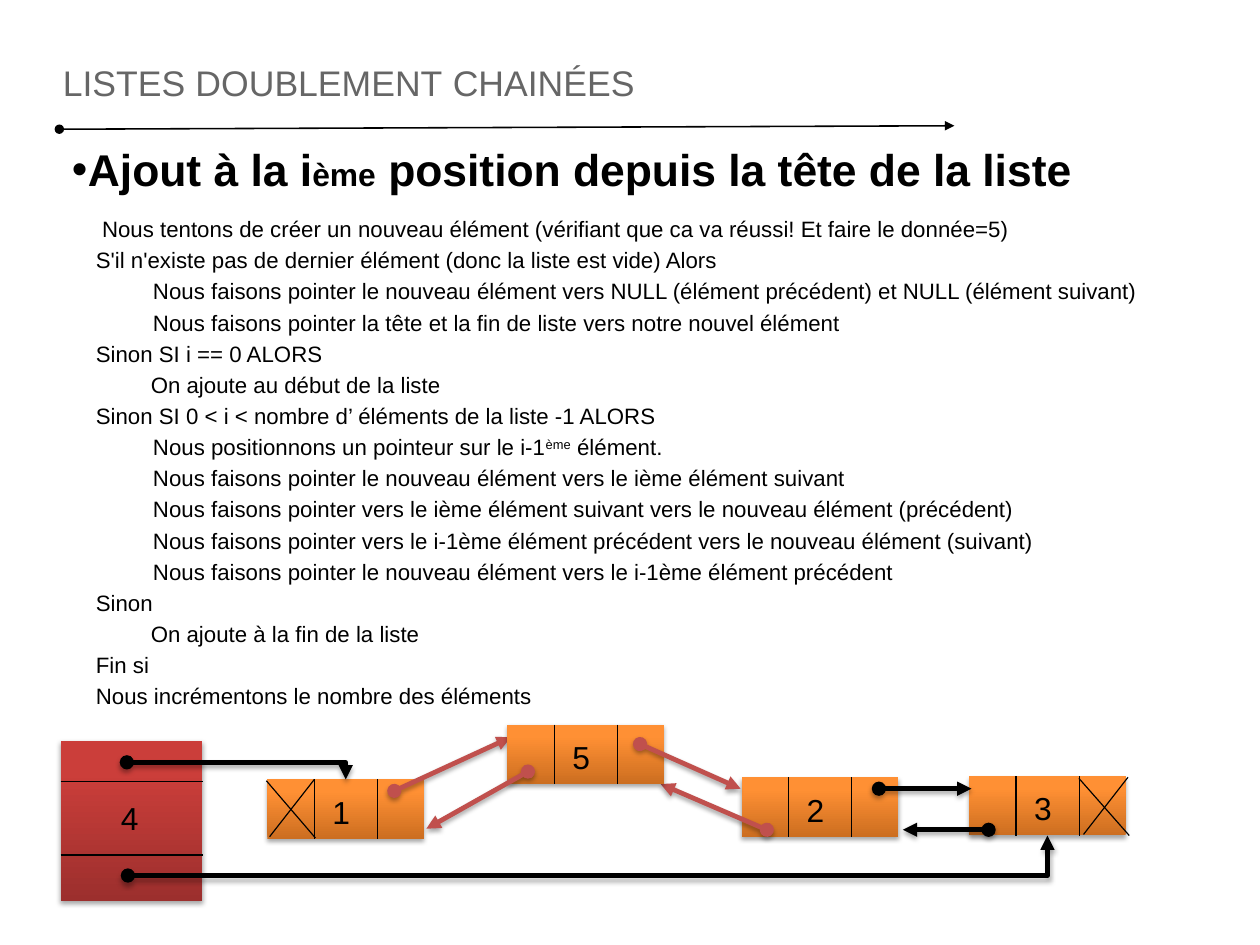
"""Slide on inserting at the i-th position of a doubly linked list."""
from pptx import Presentation
from pptx.dml.color import RGBColor
from pptx.enum.shapes import MSO_CONNECTOR, MSO_SHAPE
from pptx.enum.text import MSO_ANCHOR
from pptx.oxml import parse_xml
from pptx.oxml.ns import nsdecls
from pptx.util import Pt

STRAIGHT, ELBOW = MSO_CONNECTOR.STRAIGHT, MSO_CONNECTOR.ELBOW
RECTANGLE = MSO_SHAPE.RECTANGLE
TOP, MIDDLE = MSO_ANCHOR.TOP, MSO_ANCHOR.MIDDLE
COLORS = {
    "black": "000000", "grey": "666666", "red": "C0504D",
    "head dark": "9C2F2D", "head light": "CB3E3A",
    "node dark": "CC6E20", "node light": "FF9034",
}
SHADOW = (
    f'<a:effectLst {nsdecls("a")}><a:outerShdw blurRad="39370" dist="22860" '
    'dir="5400000" rotWithShape="0"><a:srgbClr val="000000"><a:alpha val="35000"/>'
    "</a:srgbClr></a:outerShdw></a:effectLst>"
)
NO_EFFECT = f'<a:effectLst {nsdecls("a")}/>'
NODE_WIDTH, NODE_HEIGHT = 98.6, 37.4
DIVIDERS = (29.5, 69.3)
NODES = {"3": (610.6, 488.9), "2": (467.3, 489.6), "1": (168.5, 491), "5": (319.7, 456.5)}

deck = Presentation()
deck.slide_width, deck.slide_height = Pt(793.75), Pt(595.25)
page = deck.slides.add_slide(deck.slide_layouts[6])


def draw_line(points, color="black", width=0.75, arrow=False, kind=STRAIGHT):
    """Draw a connector, with a round start and a pointed end for an arrow."""
    line = page.shapes.add_connector(kind, *[Pt(value) for value in points])
    line.line.color.rgb = RGBColor.from_string(COLORS[color])
    line.line.width = Pt(width)
    if arrow:
        outline = line.line._get_or_add_ln()
        for tag, end in (("headEnd", "oval"), ("tailEnd", "triangle")):
            outline.append(parse_xml(f'<a:{tag} {nsdecls("a")} type="{end}"/>'))
    line._element.spPr.append(parse_xml(SHADOW if width == 3 else NO_EFFECT))
    return line


def draw_block(left, top, width, height, palette):
    """Draw a shaded rectangle that is dark at the bottom."""
    block = page.shapes.add_shape(RECTANGLE, Pt(left), Pt(top), Pt(width), Pt(height))
    block.fill.gradient()
    block.fill.gradient_angle = 90
    for stop, position, tone in zip(block.fill.gradient_stops, (0, 0.8), ("dark", "light")):
        stop.position = position
        stop.color.rgb = RGBColor.from_string(COLORS[f"{palette} {tone}"])
    block.line.fill.background()
    block._element.spPr.append(parse_xml(SHADOW))
    return block


draw_line((37.4, 81.4, 601.2, 79.2), width=1, arrow=True)

draw_block(38.2, 466.6, 89.3, 100.8, "head")
for y in (492.5, 538.6):
    draw_line((38.2, y, 128.2, y))

ARROWS = {
    "3": [],
    "2": [],
    "1": [
        ((248.4, 498.2, 321.8, 464.4), "red"),
        ((483.1, 522.7, 416.2, 493.9), "red"),
        ((553.7, 496.8, 612, 496.8), "black"),
        ((622.8, 522.7, 568.8, 522.7), "black"),
    ],
    "5": [
        ((403.2, 468.7, 466.6, 496.8), "red"),
        ((332.6, 486, 268.6, 522), "red"),
    ],
}
blocks = {}
for digit, (left, top) in NODES.items():
    blocks[digit] = draw_block(left, top, NODE_WIDTH, NODE_HEIGHT, "node")
    for offset in DIVIDERS:
        draw_line((left + offset, top, left + offset, top + NODE_HEIGHT))
    for points, color in ARROWS[digit]:
        draw_line(points, color, 3, True)

for cross in (
    (167.8, 491.8, 198.7, 527.8), (198, 491, 169.9, 527),
    (679.7, 490.3, 711.4, 526.3), (710.6, 489.6, 682.6, 525.6),
):
    draw_line(cross)

for points, digit, side in (
    ((79.9, 480.2, 217.8, 491), "1", 0),
    ((80.6, 551.5, 659.9, 526.3), "3", 2),
):
    link = draw_line(points, "black", 3, True, ELBOW)
    link._element.spPr.prstGeom.set("prst", "bentConnector2")
    link.end_connect(blocks[digit], side)

STEPS = [
    (0, " Nous tentons de créer un nouveau élément (vérifiant que ca va réussi! Et faire le donnée=5)"),
    (0, "S'il n'existe pas de dernier élément (donc la liste est vide) Alors"),
    (36, "Nous faisons pointer le nouveau élément vers NULL (élément précédent) et NULL (élément suivant)"),
    (36, "Nous faisons pointer la tête et la fin de liste vers notre nouvel élément"),
    (0, "Sinon SI i == 0 ALORS"),
    (34.6, "On ajoute au début de la liste"),
    (0, "Sinon SI 0 < i < nombre d’ éléments de la liste -1 ALORS"),
    (36, "Nous positionnons un pointeur sur le i-1|ème| élément."),
    (36, "Nous faisons pointer le nouveau élément vers le ième élément suivant"),
    (36, "Nous faisons pointer vers le ième élément suivant vers le nouveau élément (précédent)"),
    (36, "Nous faisons pointer vers le i-1ème élément précédent vers le nouveau élément (suivant)"),
    (36, "Nous faisons pointer le nouveau élément vers le i-1ème élément précédent"),
    (0, "Sinon"),
    (34.6, "On ajoute à la fin de la liste"),
    (0, "Fin si"),
    (0, "Nous incrémentons le nombre des éléments"),
]
HEADING = [(10.1, "Ajout à la i|ème| position depuis la tête de la liste")]
plain = {"size": Pt(14), "bold": False}
strong = {"size": Pt(28), "bold": True}
title = {"size": Pt(28), "bold": False}
number = {"size": Pt(20), "bold": False}
TEXTS = [
    ((39.6, 23.8, 714.2, 51.8), [(0, "listes doublement chainées")], title, {"cap": "small"}, {}),
    ((38.2, 86.2, 725.8, 493.9), HEADING, strong, {}, {"sz": "2000"}),
    ((53.3, 132.2, 714.2, 290.2), STEPS, plain, {}, {"baseline": "30000"}),
    ((69.1, 499.7, 34.6, 31.7), [(0, "4")], number, {}, {}),
]
for digit, (left, top) in NODES.items():
    TEXTS.append(((left + 33.8, top + 4.7, 34.6, 31.7), [(0, digit)], number, {}, {}))

for place, lines, formats, base, raised in TEXTS:
    box = page.shapes.add_textbox(*[Pt(value) for value in place])
    frame = box.text_frame
    frame.word_wrap = True
    frame.vertical_anchor = MIDDLE if formats is title else TOP
    if formats is title:
        for side in ("left", "top", "right", "bottom"):
            setattr(frame, f"margin_{side}", 0)
    for index, (indent, words) in enumerate(lines):
        para = frame.add_paragraph() if index else frame.paragraphs[0]
        para.space_before = Pt(2.8 if index else 0)
        properties = para._p.get_or_add_pPr()
        properties.set("marL", str(Pt(indent)))
        if formats is strong:
            properties.set("indent", str(-Pt(indent)))
            for tag in ('buFont {} typeface="Arial"', 'buChar {} char="•"'):
                properties.append(parse_xml(f"<a:{tag.format(nsdecls('a'))}/>"))
        for piece, text in enumerate(words.split("|")):
            span = para.add_run()
            span.text = text
            span.font.name = "Arial"
            span.font.color.rgb = RGBColor.from_string(COLORS["grey" if formats is title else "black"])
            for name, value in formats.items():
                setattr(span.font, name, value)
            for name, value in (raised if piece % 2 else base).items():
                span._r.get_or_add_rPr().set(name, value)

deck.save("out.pptx")
